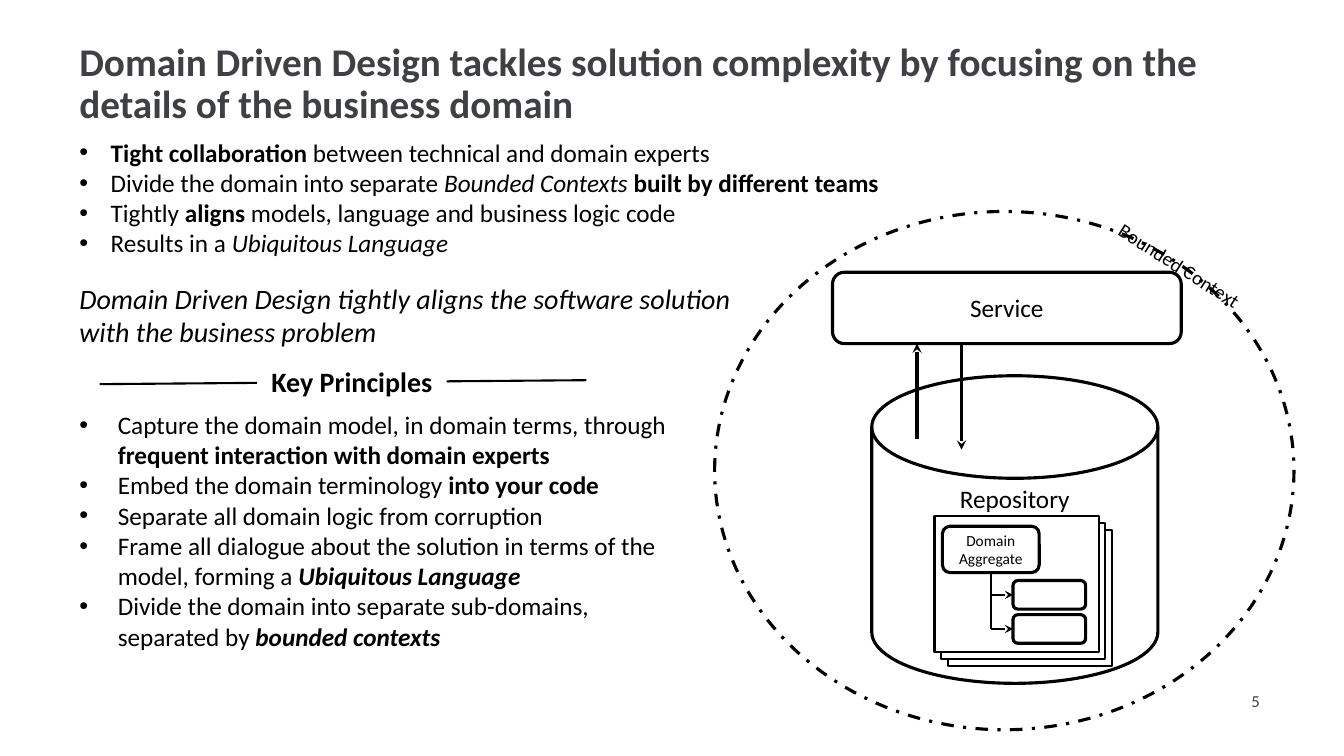
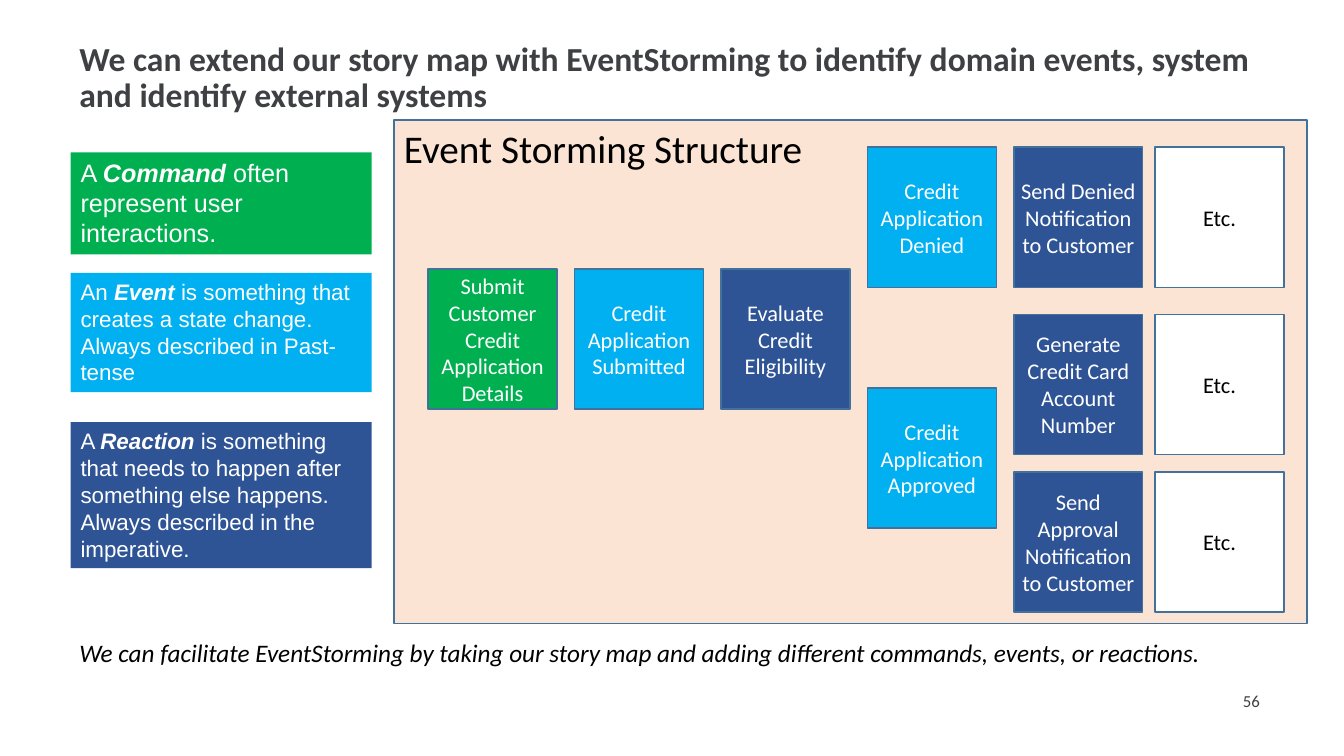
from dataclasses import dataclass
from lxml.etree import SubElement
from pptx import Presentation
from pptx.dml.color import RGBColor
from pptx.enum.dml import MSO_LINE
from pptx.enum.shapes import MSO_CONNECTOR, MSO_SHAPE
from pptx.enum.text import MSO_ANCHOR, PP_ALIGN
from pptx.oxml.ns import qn
from pptx.util import Cm, Pt


@dataclass(frozen=True)
class Theme:
    """Colours, fonts and type sizes shared by the slides."""
    ink: str = "000000"
    grey: str = "3E4043"
    white: str = "FFFFFF"
    green: str = "00B050"
    sky: str = "00B0F0"
    navy: str = "2F5496"
    peach: str = "FBE4D4"
    edge: str = "42719B"
    font: str = "Calibri"
    alt: str = "Arial"
    head: int = 28
    sub: int = 24
    lead: int = 20
    body: int = 18
    card: int = 16
    label: int = 14
    foot: int = 12
    tiny: int = 11
    thin: float = 1
    mid: float = 1.5
    bold: float = 2.25


T = Theme()
LEFT, CENTER, RIGHT = PP_ALIGN.LEFT, PP_ALIGN.CENTER, PP_ALIGN.RIGHT
TOP, MIDDLE = MSO_ANCHOR.TOP, MSO_ANCHOR.MIDDLE
RECT, ROUND = MSO_SHAPE.RECTANGLE, MSO_SHAPE.ROUNDED_RECTANGLE


def rgb(code):
    """Turn a hex code into a colour."""
    return RGBColor.from_string(code)


def add_bullet(para, indent):
    """Give a paragraph a hanging round bullet."""
    props = para._p.get_or_add_pPr()
    props.set("marL", str(Cm(indent)))
    props.set("indent", str(-Cm(indent)))
    SubElement(props, qn("a:buFont"), typeface="Arial")
    SubElement(props, qn("a:buChar"), char="•")


def write(shape, paras, size, color=T.ink, font=T.font, align=LEFT,
          anchor=TOP, bold=False, italic=False, indent=0, pad=0.25, space=1.0):
    """Write paragraphs, each a string or a list of (text, style) runs."""
    frame = shape.text_frame
    frame.word_wrap = True
    frame.vertical_anchor = anchor
    frame.margin_left = frame.margin_right = Cm(pad)
    frame.margin_top = frame.margin_bottom = Cm(pad / 2)
    for i, runs in enumerate(paras):
        para = frame.add_paragraph() if i else frame.paragraphs[0]
        para.alignment = align
        para.line_spacing = space
        if indent:
            add_bullet(para, indent)
        para.font.name, para.font.size = font, Pt(size)
        para.font.color.rgb = rgb(color)
        para.font.bold, para.font.italic = bold, italic
        for text, style in [(runs, "")] if isinstance(runs, str) else runs:
            run = para.add_run()
            run.text = text
            if "b" in style:
                run.font.bold = True
            if "i" in style:
                run.font.italic = True


def add_text(slide, box, paras, size, **style):
    """Add a text box."""
    shape = slide.shapes.add_textbox(*map(Cm, box))
    write(shape, paras, size, **style)
    return shape


def add_box(slide, kind, box, fill=T.white, line=None, width=T.bold):
    """Add a flat preset shape."""
    shape = slide.shapes.add_shape(kind, *map(Cm, box))
    shape.shadow.inherit = False
    if fill:
        shape.fill.solid()
        shape.fill.fore_color.rgb = rgb(fill)
    else:
        shape.fill.background()
    if line:
        shape.line.color.rgb = rgb(line)
        shape.line.width = Pt(width)
    else:
        shape.line.fill.background()
    return shape


def add_line(slide, ends, width=T.mid, arrow=False):
    """Draw a straight line, with an arrowhead at its end if asked."""
    line = slide.shapes.add_connector(MSO_CONNECTOR.STRAIGHT, *map(Cm, ends))
    line.line.color.rgb = rgb(T.ink)
    line.line.width = Pt(width)
    if arrow:
        SubElement(line.line._get_or_add_ln(), qn("a:tailEnd"), type="stealth")
    SubElement(line._element.spPr, qn("a:effectLst"))


def add_frame(deck, title, size, number):
    """Start a slide with its title and page number."""
    slide = deck.slides.add_slide(deck.slide_layouts[6])
    add_text(slide, (1.75, 0.94, 30.25, 2.4), [title], size,
             color=T.grey, bold=True, space=0.9)
    add_text(slide, (24.38, 17.15, 7.62, 1.02), [str(number)], T.foot,
             color=T.grey, align=RIGHT, anchor=MIDDLE)
    return slide


def add_rule(slide, box, text):
    """Draw a heading in the middle of a rule."""
    x, y, w, h = box
    add_line(slide, (x, y + h / 2 + 0.05, x + w, y + h / 2 - 0.05))
    head = add_box(slide, RECT, (x + 3.97, y, 4.78, h))
    write(head, [text], T.lead, bold=True, align=CENTER)


def add_stack(slide, box):
    """Draw the pile of pages holding the aggregate tree."""
    x, y, w, h = box
    for step in (2, 1, 0):
        add_box(slide, RECT, (x + step * 0.17, y + step * 0.18, w, h),
                line=T.ink, width=T.mid)
    root = add_box(slide, ROUND, (x + 0.2, y + 0.26, 2.44, 1.17), line=T.ink)
    write(root, ["Domain Aggregate"], T.tiny, align=CENTER, anchor=MIDDLE)
    trunk, first, gap = x + 1.42, y + 1.99, 0.86
    add_line(slide, (trunk, y + 1.43, trunk, first + gap))
    for mid in (first, first + gap):
        add_box(slide, ROUND, (x + 1.98, mid - 0.36, 1.83, 0.72), line=T.ink)
        add_line(slide, (trunk, mid, x + 1.98, mid), arrow=True)


def add_context(slide, box):
    """Draw the bounded context with its service and repository."""
    x, y, w, h = box
    disk = add_box(slide, MSO_SHAPE.FLOWCHART_MAGNETIC_DISK,
                   (x + 3.96, y + 4.14, 7.21, 7.75), line=T.ink)
    write(disk, ["Repository"], T.body, align=CENTER)
    ring = add_box(slide, MSO_SHAPE.OVAL, box, fill=None, line=T.ink)
    ring.line.dash_style = MSO_LINE.DASH_DOT
    service = add_box(slide, ROUND, (x + 2.97, y + 1.53, 8.79, 1.8), line=T.ink)
    write(service, ["Service"], T.body, align=CENTER, anchor=MIDDLE)
    add_stack(slide, (x + 5.54, y + 7.67, 4.14, 3.43))
    for at, start, end in ((5.1, 5.72, 3.33), (6.22, 3.33, 6.0)):
        add_line(slide, (x + at, y + start, x + at, y + end), T.bold, True)
    label = add_text(slide, (x + 9.19, y + 0.85, 5.05, 1.02),
                     ["Bounded Context"], T.label, align=CENTER, anchor=MIDDLE)
    label.rotation = 32.4


def add_legend(slide, box):
    """Stack the three definitions."""
    x, y, w, h = box
    notes = (
        (0, 2.57, T.green, T.body, "A ", "Command",
         " often represent user interactions."),
        (3.04, 3, T.sky, T.card, "An ", "Event",
         " is something that creates a state change. "
         "Always described in Past-tense"),
        (6.8, 3.68, T.navy, T.card, "A ", "Reaction",
         " is something that needs to happen after something else happens. "
         "Always described in the imperative."),
    )
    for top, tall, fill, size, start, term, rest in notes:
        note = add_box(slide, RECT, (x, y + top, w, tall), fill=fill)
        write(note, [[(start, ""), (term, "bi"), (rest, "")]], size,
              color=T.white, font=T.alt)


def add_storm(slide, box):
    """Draw the event storming panel and its cards."""
    x, y, w, h = box
    panel = add_box(slide, RECT, box, T.peach, T.edge, T.thin)
    write(panel, ["Event Storming Structure"], T.head)
    cols = [0.86 + 3.69 * i for i in range(5)] + [19.18]
    cards = (
        (0, 3.76, T.green, "Submit Customer Credit Application Details"),
        (1, 3.76, T.sky, "Credit Application Submitted"),
        (2, 3.76, T.navy, "Evaluate Credit Eligibility"),
        (3, 0.69, T.sky, "Credit Application Denied"),
        (3, 6.76, T.sky, "Credit Application Approved"),
        (4, 0.69, T.navy, "Send Denied Notification to Customer"),
        (4, 4.9, T.navy, "Generate Credit Card Account Number"),
        (4, 8.87, T.navy, "Send Approval Notification to Customer"),
        (5, 0.69, T.white, "Etc."),
        (5, 4.9, T.white, "Etc."),
        (5, 8.87, T.white, "Etc."),
    )
    for col, top, fill, text in cards:
        card = add_box(slide, RECT, (x + cols[col], y + top, 3.25, 3.53),
                       fill, T.edge, T.thin)
        write(card, [text], T.card, align=CENTER, anchor=MIDDLE, pad=0,
              color=T.ink if fill == T.white else T.white)


def add_design(deck):
    """Build the slide on domain driven design."""
    slide = add_frame(deck, "Domain Driven Design tackles solution complexity "
                      "by focusing on the details of the business domain",
                      T.head, 5)
    add_rule(slide, (2.51, 9.07, 12.27, 1.12), "Key Principles")
    add_text(slide, (1.75, 10.19, 15.77, 6.4), [
        [("Capture the domain model, in domain terms, through ", ""),
         ("frequent interaction with domain experts", "b")],
        [("Embed the domain terminology ", ""), ("into your code", "b")],
        "Separate all domain logic from corruption",
        [("Frame all dialogue about the solution in terms of the model, "
          "forming a ", ""), ("Ubiquitous Language", "bi")],
        [("Divide the domain into separate sub-domains, separated by ", ""),
         ("bounded contexts", "bi")],
    ], T.body, indent=0.97)
    add_text(slide, (1.75, 3.33, 22.96, 3.33), [
        [("Tight collaboration ", "b"),
         ("between technical and domain experts", "")],
        [("Divide the domain into separate ", ""), ("Bounded Contexts ", "i"),
         ("built by different teams", "b")],
        [("Tightly ", ""), ("aligns", "b"),
         (" models, language and business logic code", "")],
        [("Results in a ", ""), ("Ubiquitous Language", "i")],
    ], T.body, indent=0.79)
    add_text(slide, (1.75, 6.96, 16.94, 1.96),
             ["Domain Driven Design tightly aligns the software solution "
              "with the business problem"], T.lead, italic=True)
    add_context(slide, (18.01, 5.33, 14.6, 13.06))


def add_events(deck):
    """Build the slide on event storming."""
    slide = add_frame(deck, "We can extend our story map with EventStorming to "
                      "identify domain events, system and identify external "
                      "systems", T.sub, 56)
    add_storm(slide, (9.93, 3.02, 23.01, 12.7))
    add_legend(slide, (1.78, 3.84, 7.59, 10.48))
    add_text(slide, (1.75, 15.93, 31.67, 1.02),
             ["We can facilitate EventStorming by taking our story map and "
              "adding different commands, events, or reactions."],
             T.body, italic=True)


def main():
    """Build and save the deck."""
    deck = Presentation()
    deck.slide_width, deck.slide_height = Cm(33.87), Cm(19.05)
    add_design(deck)
    add_events(deck)
    deck.save("out.pptx")


if __name__ == "__main__":
    main()
